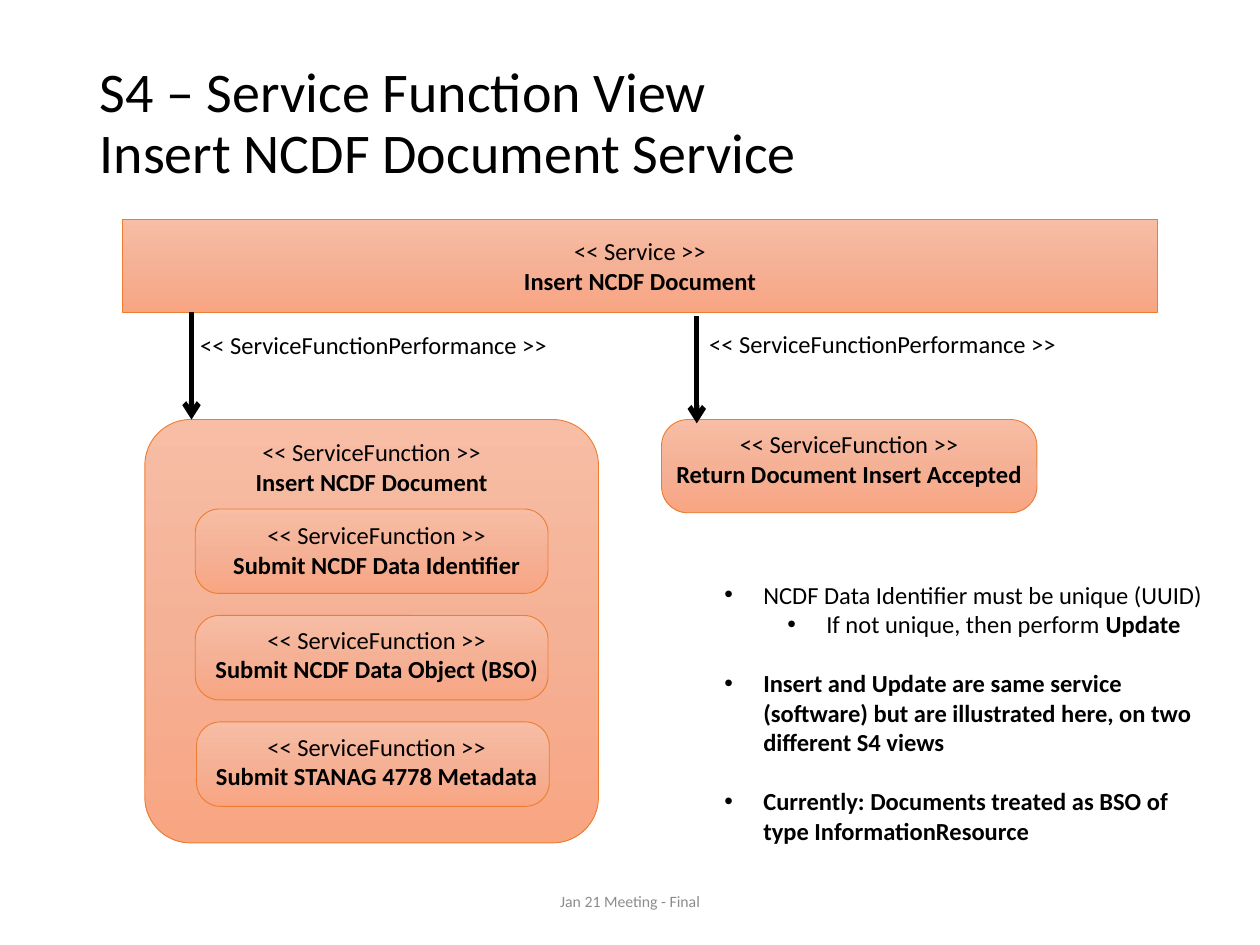
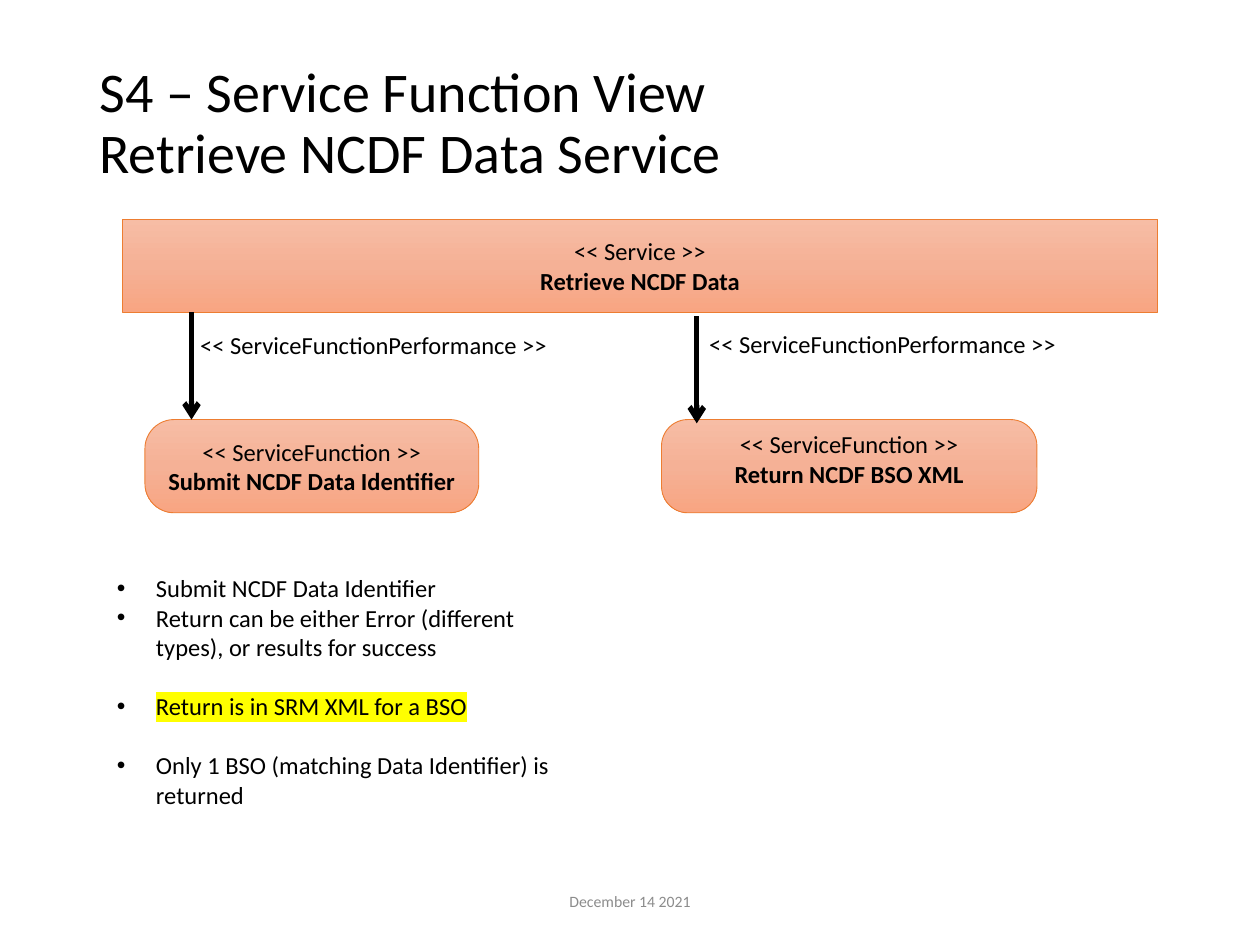
from copy import deepcopy
from dataclasses import dataclass

from lxml.etree import SubElement
from pptx import Presentation
from pptx.dml.color import RGBColor
from pptx.enum.shapes import MSO_CONNECTOR as Connector, MSO_SHAPE as Shape
from pptx.enum.text import MSO_ANCHOR as Anchor, MSO_AUTO_SIZE as AutoSize, PP_ALIGN as Align
from pptx.oxml.ns import qn
from pptx.util import Inches, Pt


@dataclass(frozen=True)
class Theme:
    font: str = "Calibri"
    ink: str = "000000"
    muted: str = "8C8C8C"
    edge: str = "ED7D31"
    highlight: str = "FFFF00"
    gradient: tuple = ((0, "F7BDA5"), (0.5, "F5B196"), (1, "F8A582"))
    title_size: int = 32
    body_size: int = 14
    footer_size: int = 9
    paragraph_gap: int = 17


THEME = Theme()

# Content: a function is (name, box, corner, caption box or None for text in the shape)
FUNCTION = "<< ServiceFunction >>"
PERFORMANCE = "<< ServiceFunctionPerformance >>"
VIEW_TITLE = "S4 – Service Function View"

STEP_NAMES = [
    ("Submit NCDF Data Identifier", 1.55, 4.08),
    ("Submit NCDF Data Object (BSO)", 1.55, 4.91),
    ("Submit STANAG 4778 Metadata", 1.56, 5.76),
]
STEP_TOP, STEP_PITCH = 4.04, 0.845
STEPS = [
    (name, (left, STEP_TOP + row * STEP_PITCH, 2.8, 0.67), 0.283, (1.6, caption_top, 2.78, 0.57))
    for row, (name, left, caption_top) in enumerate(STEP_NAMES)
]


def returned(name):
    return name, (5.25, 3.33, 2.98, 0.74), 0.283, (5.26, 3.36, 2.96, 0.57)


# A note is (level, gap before, [(text, style), ...])
VIEWS = [
    {
        "subject": "Insert NCDF Document Service",
        "footer": "Jan 21 Meeting - Final",
        "service": "Insert NCDF Document",
        "functions": [
            ("Insert NCDF Document", (1.15, 3.33, 3.6, 3.36), 0.108, (1.92, 3.42, 2.06, 0.57)),
            returned("Return Document Insert Accepted"),
            *STEPS,
        ],
        "notes_box": (5.65, 4.55, 4.04, 2.22),
        "notes": [
            (0, False, [("NCDF Data Identifier must be unique (UUID)", "")]),
            (1, False, [("If not unique, then perform ", ""), ("Update", "bold")]),
            (0, True, [("Insert and Update are same service (software) but are "
                        "illustrated here, on two different S4 views", "bold")]),
            (0, True, [("Currently: Documents treated as BSO of type InformationResource", "bold")]),
        ],
    },
    {
        "subject": "Retrieve NCDF Data Service",
        "footer": "December 14 2021",
        "service": "Retrieve NCDF Data",
        "functions": [
            ("Submit NCDF Data Identifier", (1.15, 3.33, 2.65, 0.74), 0.314, None),
            returned("Return NCDF BSO XML"),
        ],
        "notes_box": (0.83, 4.5, 3.64, 1.99),
        "notes": [
            (0, False, [("Submit NCDF Data Identifier", "")]),
            (0, False, [("Return can be either Error (different types), or results for success", "")]),
            (0, True, [("Return is in SRM XML for a BSO", "highlight")]),
            (0, True, [("Only 1 BSO (matching Data Identifier) is returned", "")]),
        ],
    },
]

# Shared layout
TITLE_BOX = (0.69, 0.4, 8.62, 1.18)
FOOTER_BOX = (3.31, 6.95, 3.38, 0.4)
SERVICE_BOX = (0.97, 1.74, 8.22, 0.74)
ARROW_LENGTH = 0.85
ARROWS = [(1.52, 2.48), (5.53, 2.51)]
PERFORMANCE_BOXES = [(1.49, 2.57, 2.98, 0.34), (5.53, 2.56, 2.98, 0.34)]
INDENT, LEVEL_STEP = 0.31, 0.5


def inches(box):
    return [Inches(value) for value in box]


def style_run(run, size=THEME.body_size, color=THEME.ink, bold=False):
    run.font.name = THEME.font
    run.font.size = Pt(size)
    run.font.bold = bold
    run.font.color.rgb = RGBColor.from_string(color)


def add_text(slide, box, text, wrap=False, **style):
    frame = slide.shapes.add_textbox(*inches(box)).text_frame
    frame.word_wrap = wrap
    frame.text = text
    for paragraph in frame.paragraphs:
        for run in paragraph.runs:
            style_run(run, **style)
    return frame


def write_caption(frame, stereotype, name):
    frame.text = f"{stereotype}\n{name}"
    for paragraph, bold in zip(frame.paragraphs, (False, True)):
        paragraph.alignment = Align.CENTER
        style_run(paragraph.runs[0], bold=bold)


def add_panel(slide, kind, box):
    panel = slide.shapes.add_shape(kind, *inches(box))
    panel.shadow.inherit = False
    panel.fill.gradient()
    panel.fill.gradient_angle = 270
    stops = panel.element.spPr.find(qn("a:gradFill")).find(qn("a:gsLst"))
    stops.insert(1, deepcopy(stops[0]))
    for stop, (position, color) in zip(panel.fill.gradient_stops, THEME.gradient):
        stop.position = position
        stop.color.rgb = RGBColor.from_string(color)
    panel.line.color.rgb = RGBColor.from_string(THEME.edge)
    panel.line.width = Pt(0.5)
    panel.text_frame.vertical_anchor = Anchor.MIDDLE
    return panel


def add_function(slide, name, box, corner, caption_box):
    panel = add_panel(slide, Shape.ROUNDED_RECTANGLE, box)
    panel.adjustments[0] = corner
    frame = add_text(slide, caption_box, "") if caption_box else panel.text_frame
    write_caption(frame, FUNCTION, name)


def add_arrow(slide, x, y):
    arrow = slide.shapes.add_connector(
        Connector.STRAIGHT, *inches((x, y, x, y + ARROW_LENGTH)))
    arrow.line.color.rgb = RGBColor.from_string(THEME.ink)
    arrow.line.width = Pt(3)
    SubElement(arrow.line._get_or_add_ln(), qn("a:tailEnd"), type="arrow")
    SubElement(arrow._element.spPr, qn("a:effectLst"))


def highlight(run):
    fill = run.font._element.find(qn("a:solidFill"))
    marker = SubElement(run.font._element, qn("a:highlight"))
    SubElement(marker, qn("a:srgbClr"), val=THEME.highlight)
    fill.addnext(marker)


def add_notes(slide, box, notes):
    frame = add_text(slide, box, "", wrap=True)
    for index, (level, gap, pieces) in enumerate(notes):
        paragraph = frame.add_paragraph() if index else frame.paragraphs[0]
        paragraph.level = level
        properties = paragraph._p.get_or_add_pPr()
        properties.set("marL", str(Inches(INDENT + level * LEVEL_STEP)))
        properties.set("indent", str(-Inches(INDENT)))
        SubElement(properties, qn("a:buFont"), typeface="Arial")
        SubElement(properties, qn("a:buChar"), char="•")
        if gap:
            paragraph.space_before = Pt(THEME.paragraph_gap)
        for text, style in pieces:
            run = paragraph.add_run()
            run.text = text
            style_run(run, bold=style == "bold")
            if style == "highlight":
                highlight(run)


def add_title(slide, subject):
    title = slide.shapes.title
    title.left, title.top, title.width, title.height = inches(TITLE_BOX)
    frame = title.text_frame
    frame.auto_size = AutoSize.NONE
    frame.vertical_anchor = Anchor.MIDDLE
    frame.text = f"{VIEW_TITLE}\v{subject}"
    paragraph = frame.paragraphs[0]
    paragraph.alignment = Align.LEFT
    paragraph.line_spacing = 0.9
    for run in paragraph.runs:
        style_run(run, THEME.title_size)


def add_view(deck, view):
    slide = deck.slides.add_slide(deck.slide_layouts[5])
    add_title(slide, view["subject"])

    # Footer
    footer = add_text(slide, FOOTER_BOX, view["footer"], wrap=True,
                      size=THEME.footer_size, color=THEME.muted)
    footer.vertical_anchor = Anchor.MIDDLE
    footer.paragraphs[0].alignment = Align.CENTER

    # Service and the functions it performs
    service = add_panel(slide, Shape.RECTANGLE, SERVICE_BOX)
    write_caption(service.text_frame, "<< Service >>", view["service"])
    for function in view["functions"]:
        add_function(slide, *function)
    for start, label_box in zip(ARROWS, PERFORMANCE_BOXES):
        add_arrow(slide, *start)
        add_text(slide, label_box, PERFORMANCE)

    add_notes(slide, view["notes_box"], view["notes"])


def main():
    deck = Presentation()
    deck.slide_width, deck.slide_height = Inches(10), Inches(7.5)
    for view in VIEWS:
        add_view(deck, view)
    deck.save("out.pptx")


if __name__ == "__main__":
    main()
